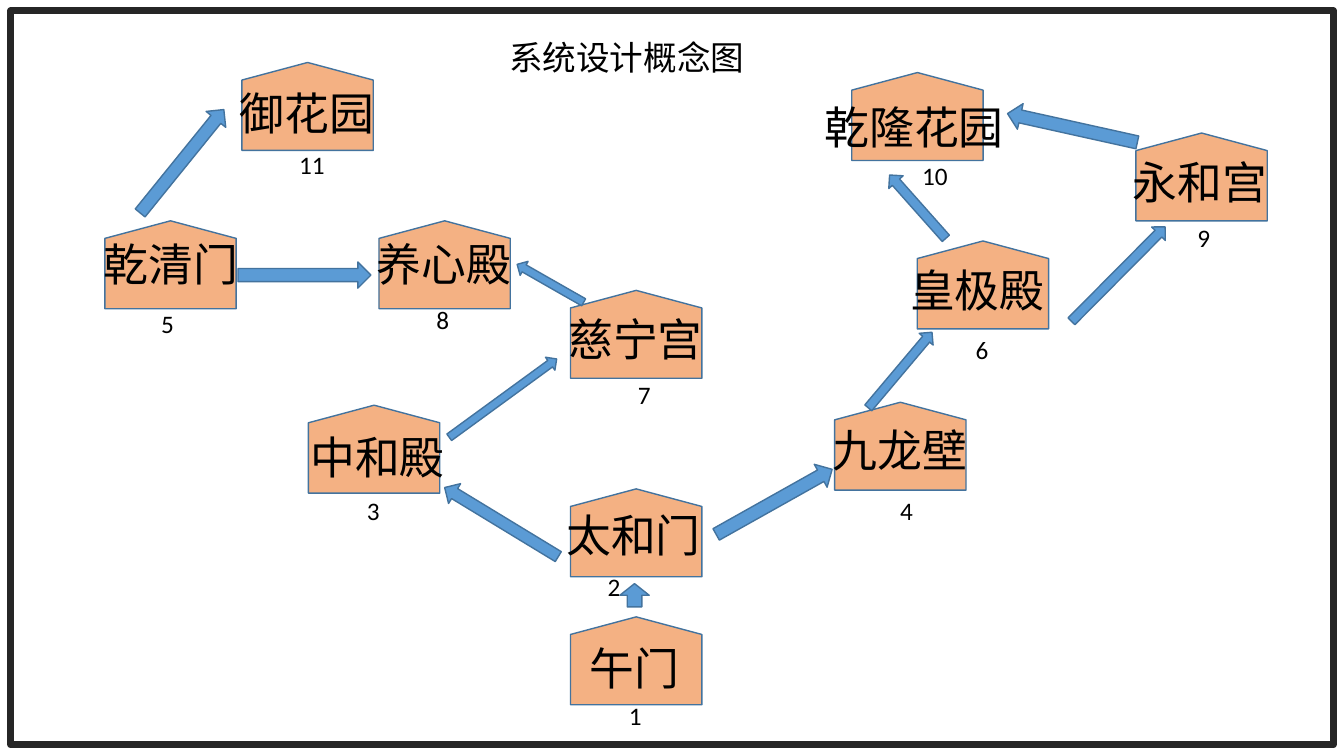
from dataclasses import dataclass

from pptx import Presentation
from pptx import util as u
from pptx.dml.color import RGBColor
from pptx.enum import shapes, text


@dataclass(frozen=True)
class Theme:
    font: str = "Calibri"
    ink: str = "000000"
    frame: str = "262626"
    hall: str = "F4B183"
    arrow: str = "5B9BD5"
    outline: str = "43739E"
    title_size: float = 24
    name_size: float = 32
    number_size: float = 18


@dataclass(frozen=True)
class Hall:
    number: int
    name: str
    left: float
    top: float
    name_left: float
    name_top: float
    number_left: float
    number_top: float
    name_width: float = 111.6


@dataclass(frozen=True)
class Arrow:
    left: float
    top: float
    width: float
    height: float
    rotation: float


THEME = Theme()
HALL_SIZE = (93.8, 62.8)
LONG = 95

HALLS = [
    Hall(1, "午门", 407.5, 440.6, 414, 454.3, 442.1, 496.8, 79.2),
    Hall(2, "太和门", 407.5, 349.2, 397.4, 359.3, 427, 404.6),
    Hall(3, "中和殿", 220.3, 289.4, 214.6, 303.1, 254.9, 350.6),
    Hall(4, "九龙壁", 596.2, 287.3, 587.5, 298.1, 635.8, 350.6),
    Hall(5, "乾清门", 74.9, 157.7, 67, 165.6, 108, 216.7, 113),
    Hall(6, "皇极殿", 655.2, 172.1, 643, 184.3, 689.8, 235.4, 130.3),
    Hall(7, "慈宁宫", 407.5, 207.4, 398.9, 218.9, 448.6, 267.1),
    Hall(8, "养心殿", 270.7, 157.7, 262.1, 165.6, 304.6, 213.8),
    Hall(9, "永和宫", 811.4, 95, 802.1, 107.3, 848.2, 155.5),
    Hall(10, "乾隆花园", 608.4, 51.8, 581.8, 67.7, 651.6, 110.9, 144),
    Hall(11, "御花园", 172.8, 44.6, 164.2, 57.6, 206.6, 103),
]

ARROWS = [
    Arrow(442.8, 416.9, 20.9, 16.6, 0),
    Arrow(349.9, 325.4, 16.6, LONG, 301.3),
    Arrow(353.5, 236.9, 11.5, LONG, 53.9),
    Arrow(756.7, 43.9, 18.7, LONG, 282.5),
    Arrow(121, 67.7, 18, LONG, 39),
    Arrow(208.1, 149, 18.7, LONG, 90),
    Arrow(543.6, 311, 18.7, LONG, 60.7),
    Arrow(648.7, 117.4, 13.7, 60.5, 318.4),
    Arrow(792, 148.3, 13.7, LONG, 44.8),
    Arrow(387.4, 175, 11.5, 54.7, 299.7),
    Arrow(636.5, 229, 13, 70.6, 40.1),
]


def write(sp, content: str, *, size: float, color: str = THEME.ink) -> None:
    tf = sp.text_frame
    tf.word_wrap = True
    tf.auto_size = text.MSO_AUTO_SIZE.NONE
    tf.vertical_anchor = text.MSO_ANCHOR.TOP
    p = tf.paragraphs[0]
    p.alignment = text.PP_ALIGN.LEFT
    r = p.add_run()
    r.text = content
    r.font.name = THEME.font
    r.font.size = u.Pt(size)
    r.font.color.rgb = RGBColor.from_string(color)


def add_text(s, content: str, left: float, top: float, width: float,
             height: float, *, size: float) -> None:
    sp = s.shapes.add_textbox(u.Pt(left), u.Pt(top), u.Pt(width), u.Pt(height))
    write(sp, content, size=size)


def add_preset(s, kind, left: float, top: float, width: float, height: float,
               *, fill: str = "", line: str = THEME.outline,
               weight: float = 1, rotation: float = 0) -> None:
    sp = s.shapes.add_shape(kind, u.Pt(left), u.Pt(top), u.Pt(width), u.Pt(height))
    sp.shadow.inherit = False
    sp.rotation = rotation
    if fill:
        sp.fill.solid()
        sp.fill.fore_color.rgb = RGBColor.from_string(fill)
    else:
        sp.fill.background()
    sp.line.color.rgb = RGBColor.from_string(line)
    sp.line.width = u.Pt(weight)


def add_title(s, content: str) -> None:
    sp = s.shapes.title
    sp.left, sp.top = u.Pt(356.4), u.Pt(23)
    sp.width, sp.height = u.Pt(258.5), u.Pt(36)
    write(sp, content, size=THEME.title_size)


def add_hall(s, hall: Hall) -> None:
    add_preset(s, shapes.MSO_SHAPE.FLOWCHART_OFFPAGE_CONNECTOR, hall.left, hall.top,
               *HALL_SIZE, fill=THEME.hall, rotation=180)
    add_text(s, hall.name, hall.name_left, hall.name_top, hall.name_width, 46,
             size=THEME.name_size)


def add_number(s, hall: Hall) -> None:
    add_text(s, str(hall.number), hall.number_left, hall.number_top, 66.2, 29,
             size=THEME.number_size)


def add_arrow(s, arrow: Arrow) -> None:
    add_preset(s, shapes.MSO_SHAPE.UP_ARROW, arrow.left, arrow.top, arrow.width,
               arrow.height, fill=THEME.arrow, rotation=arrow.rotation)


def main() -> None:
    prs = Presentation()
    prs.slide_width, prs.slide_height = u.Pt(960), u.Pt(540)
    s = prs.slides.add_slide(prs.slide_layouts[5])
    add_preset(s, shapes.MSO_SHAPE.RECTANGLE, 7.7, 7.7, 944.6, 524.4,
               line=THEME.frame, weight=5)
    add_title(s, "系统设计概念图")
    for hall in HALLS:
        add_hall(s, hall)
    for arrow in ARROWS:
        add_arrow(s, arrow)
    for hall in HALLS:
        add_number(s, hall)
    prs.save("out.pptx")


if __name__ == "__main__":
    main()
